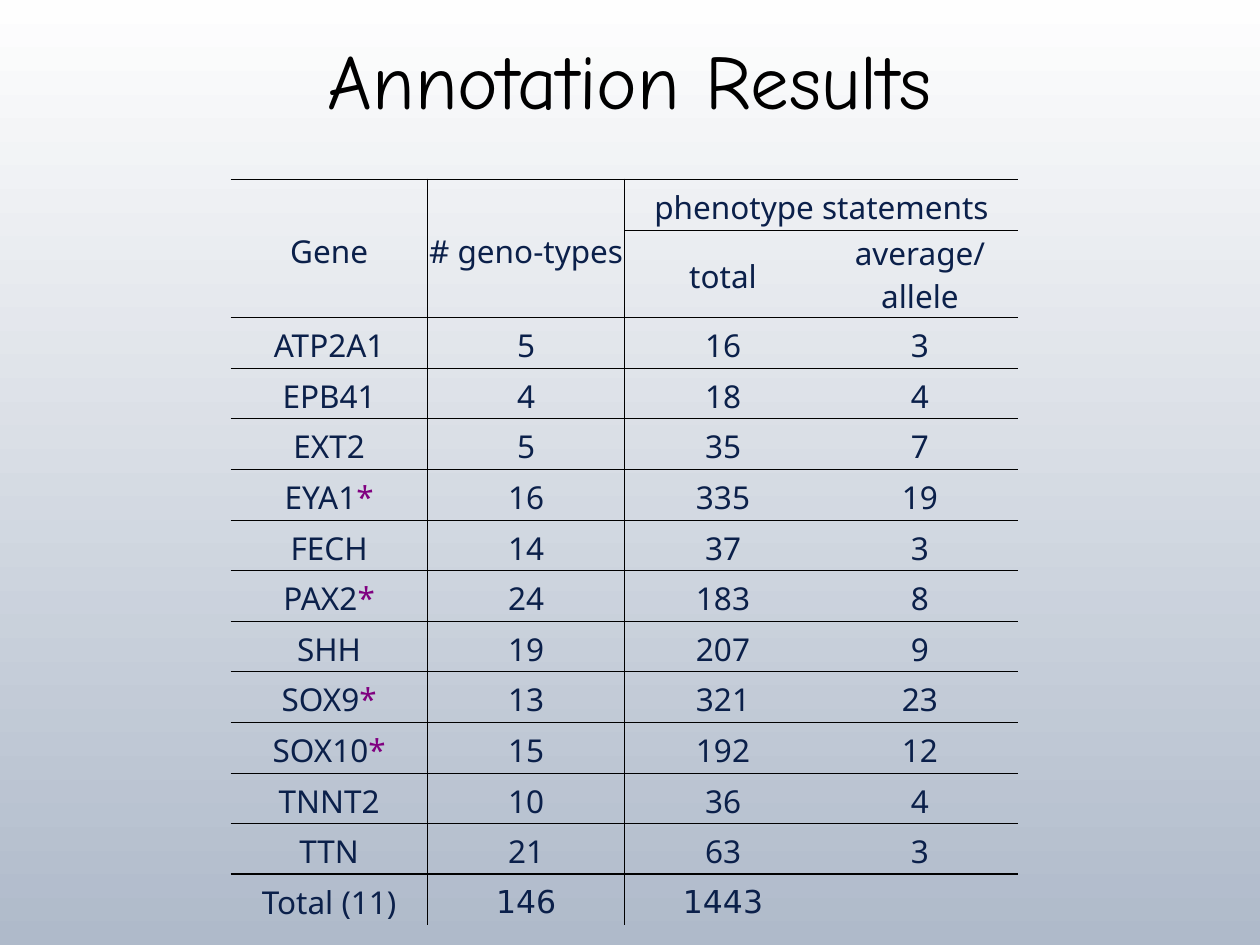
from lxml.etree import SubElement
from pptx import Presentation
from pptx.dml.color import RGBColor as RGB
from pptx.enum.text import MSO_ANCHOR as Anchor, PP_ALIGN as Align
from pptx.oxml.ns import qn
from pptx.util import Cm, Pt

TITLE = "Annotation Results"
HEADS = [
    ("Gene", "# geno-types", "phenotype statements", ""),
    ("", "", "total", "average/ allele"),
]
GENES = [
    ("ATP2A1", 5, 16, 3),
    ("EPB41", 4, 18, 4),
    ("EXT2", 5, 35, 7),
    ("EYA1*", 16, 335, 19),
    ("FECH", 14, 37, 3),
    ("PAX2*", 24, 183, 8),
    ("SHH", 19, 207, 9),
    ("SOX9*", 13, 321, 23),
    ("SOX10*", 15, 192, 12),
    ("TNNT2", 10, 36, 4),
    ("TTN", 21, 63, 3),
]
TOTAL = ("Total (11)", 146, 1443, "")
ROWS = HEADS + GENES + [TOTAL]
LAST = len(ROWS) - 1
SPANS = [((0, 0), (1, 0)), ((0, 1), (1, 1)), ((0, 2), (0, 3))]

INK, STAR, BLACK = "0B204A", "800080", "000000"
BACK = ("FEFEFE", "AFBACA")
LEFT, TOP, COL, ROW, TALL = 4.65, 3.61, 3.97, 1.02, 1.77
THIN, THICK = 0.45, 0.75
RULES = {0: THICK, 1: 0.23, len(HEADS): THICK, LAST: THICK}
PLAIN = "{2D5ABB26-0587-4C30-8999-92F81FD0307C}"  # no style, no grid


def color(code):
    return RGB.from_string(code)


def write(frame, text, font="Noto Sans", size=18, ink=INK):
    """Write centred text; a trailing star gets its own colour."""
    para = frame.paragraphs[0]
    para.alignment = Align.CENTER
    para.font.size = Pt(size)
    name = text.rstrip("*")
    for part, tint in ((name, ink), (text[len(name):], STAR)):
        if part:
            run = para.add_run()
            run.text = part
            run.font.name, run.font.size = font, Pt(size)
            run.font.color.rgb = color(tint)


def border(cell, side, width):
    line = SubElement(cell._tc.get_or_add_tcPr(), qn("a:ln" + side), w=str(Pt(width)))
    fill = SubElement(line, qn("a:solidFill"))
    SubElement(fill, qn("a:srgbClr"), val=BLACK)


def rule(cell, row, col):
    """Draw the edges of one cell, leaving merged pairs undivided."""
    merged = col < 2
    if col == 1:
        border(cell, "L", THIN)
    if col == 0:
        border(cell, "R", THIN)
    if not (merged and row == 1):
        border(cell, "T", RULES.get(row, THIN))
    below = 2 if merged and row == 0 else row + 1
    if below <= LAST:
        border(cell, "B", RULES.get(below, THIN))


def fill_cell(cell, row, col):
    text = str(ROWS[row][col])
    pair = text.startswith("average")  # two lines need tighter margins
    cell.margin_left = cell.margin_right = Cm(0.03)
    cell.margin_top = Cm(0.04 if pair else 0.13)
    cell.margin_bottom = Cm(0 if pair else 0.02)
    cell.vertical_anchor = Anchor.MIDDLE
    rule(cell, row, col)
    cell.fill.background()
    sums = row == LAST and col > 0
    write(cell.text_frame, text, font="DejaVu Sans" if sums else "Noto Sans")


def add_grid(slide):
    cols = len(TOTAL)
    frame = slide.shapes.add_table(len(ROWS), cols, Cm(LEFT), Cm(TOP),
                                   Cm(COL * cols), Cm(ROW * LAST + TALL))
    table = frame.table
    table.first_row = table.horz_banding = False
    table._tbl.tblPr.find(qn("a:tableStyleId")).text = PLAIN
    for col in table.columns:
        col.width = Cm(COL)
    for first, last in SPANS:
        table.cell(*first).merge(table.cell(*last))
    for r, row in enumerate(table.rows):
        row.height = Cm(TALL if r == 1 else ROW)
        for c, cell in enumerate(row.cells):
            fill_cell(cell, r, c)


def main():
    deck = Presentation()
    deck.slide_width, deck.slide_height = Cm(25.4), Cm(19.05)
    slide = deck.slides.add_slide(deck.slide_layouts[6])

    fill = slide.background.fill
    fill.gradient()
    fill.gradient_angle = 270
    for place, (stop, code) in enumerate(zip(fill.gradient_stops, BACK)):
        stop.position = place
        stop.color.rgb = color(code)

    title = slide.shapes.add_textbox(Cm(1.27), Cm(0), Cm(22.86), Cm(3.18)).text_frame
    title.word_wrap = True
    title.vertical_anchor = Anchor.MIDDLE
    write(title, TITLE, font="Comic Neue", size=44, ink=BLACK)

    add_grid(slide)
    deck.save("out.pptx")


if __name__ == "__main__":
    main()
